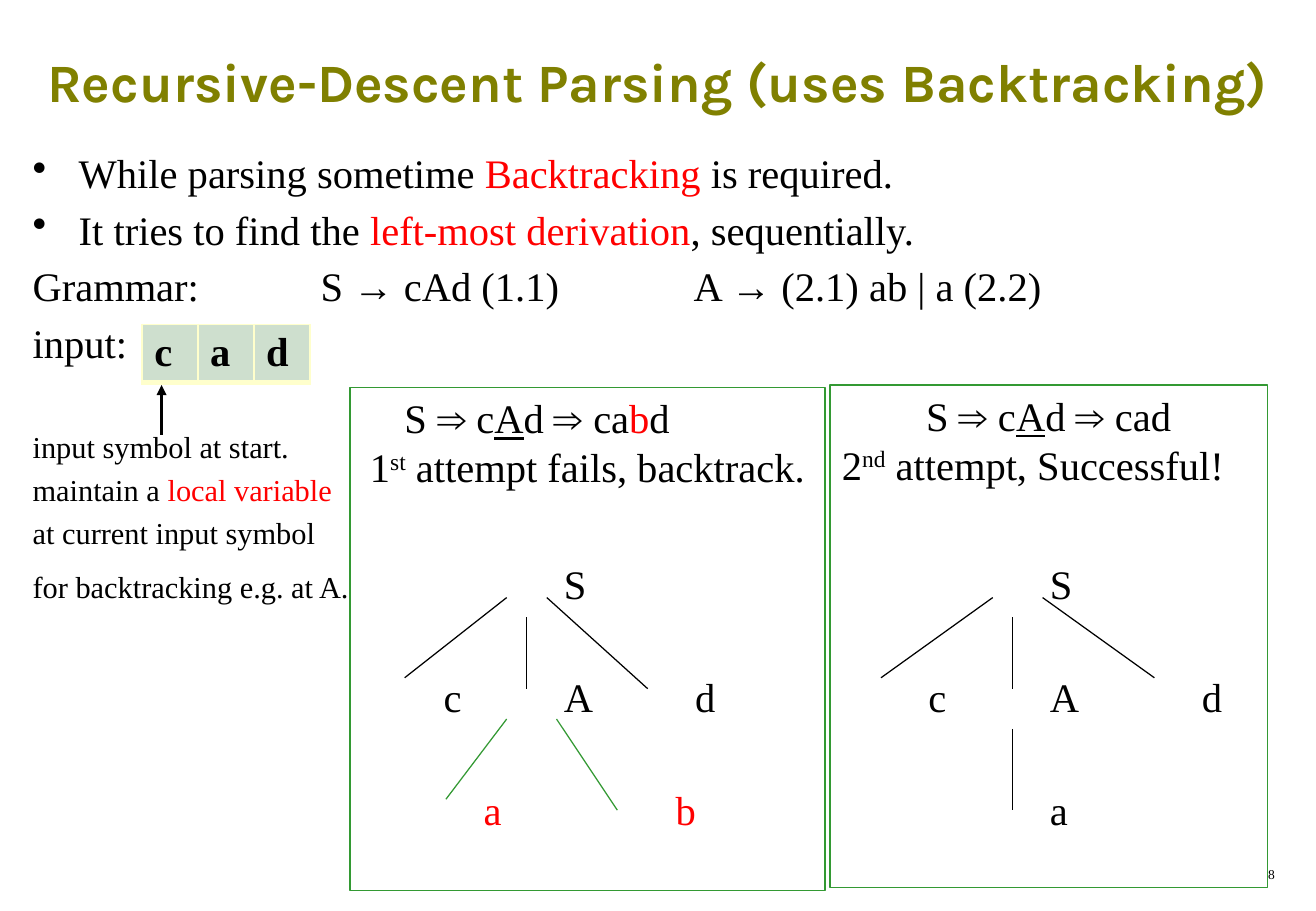
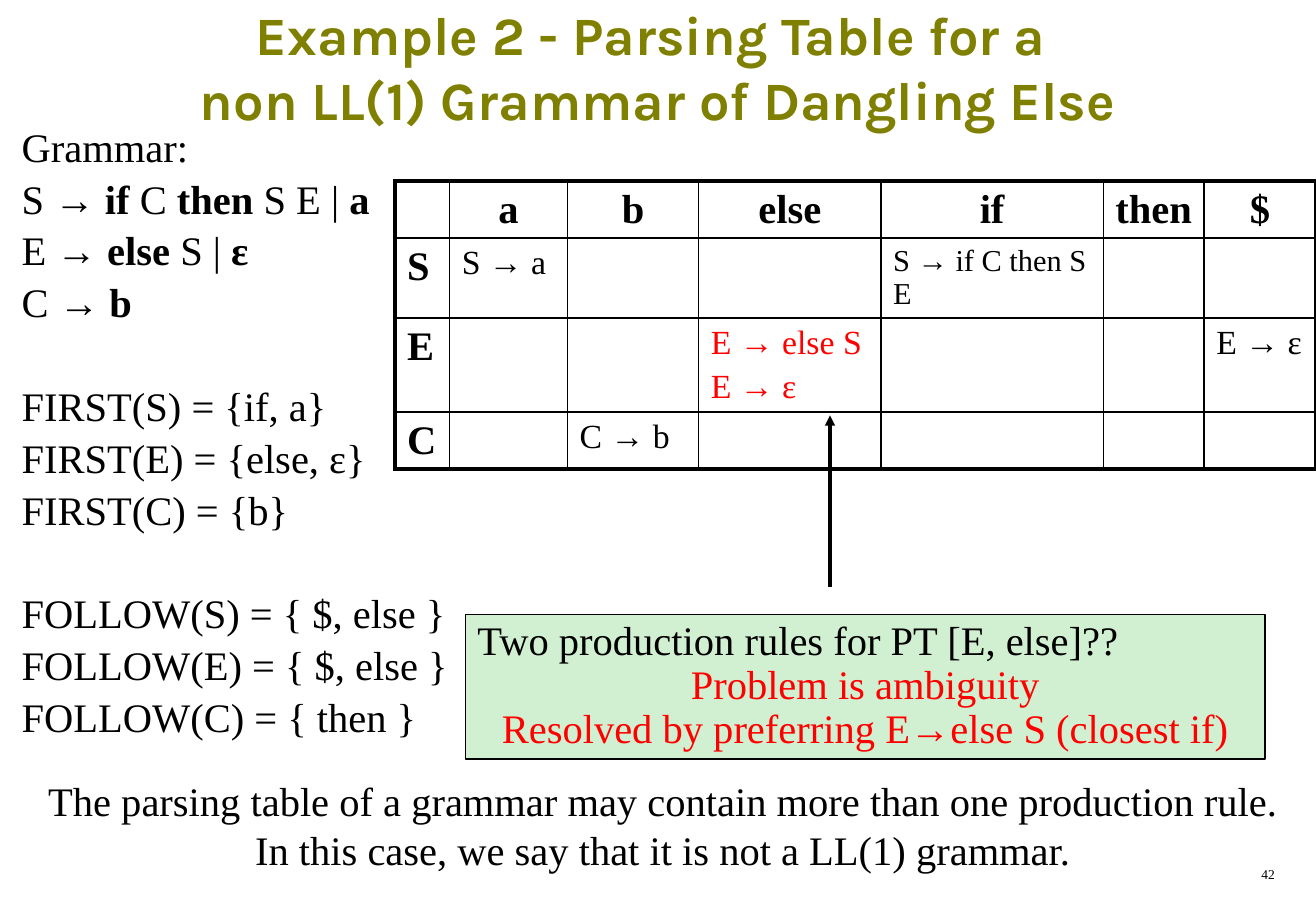
from dataclasses import dataclass
from typing import NamedTuple

from lxml.etree import SubElement
from pptx import Presentation
from pptx.dml.color import RGBColor
from pptx.enum.shapes import MSO_CONNECTOR, MSO_SHAPE
from pptx.enum.text import MSO_ANCHOR, MSO_AUTO_SIZE, PP_ALIGN
from pptx.oxml.ns import qn
from pptx.util import Inches, Pt

BLACK, RED, GREEN, OLIVE = "000000", "FF0000", "339933", "808000"
CREAM, SAGE, MINT = "FFFFCC", "CEDFCE", "D1F0D1"
BODY_FONT, TITLE_FONT = "Times New Roman", "Karla"
CENTER, RIGHT = PP_ALIGN.CENTER, PP_ALIGN.RIGHT


@dataclass
class Run:
    text: str
    color: str = BLACK
    size: float = 24
    bold: bool = False
    underline: bool = False
    raised: bool = False
    font: str = BODY_FONT


@dataclass
class Para:
    runs: list[Run]
    align: PP_ALIGN = PP_ALIGN.LEFT
    before: float = 0
    spacing: float = 1.0
    bullet: bool = False
    indent: float = 0
    tabs: tuple[float, ...] = ()


class Box(NamedTuple):
    left: float
    top: float
    width: float
    height: float


class Edge(NamedTuple):
    start: tuple[float, float]
    end: tuple[float, float]
    color: str = BLACK


class Node(NamedTuple):
    text: str
    left: float
    level: int
    color: str = BLACK


def rgb(value: str) -> RGBColor:
    return RGBColor.from_string(value)


def inches(box: Box) -> list[Inches]:
    return [Inches(value) for value in box]


def add_run(paragraph, run: Run) -> None:
    """Add the run, turning each newline in it into a line break."""
    for index, line in enumerate(run.text.split("\n")):
        if index:
            paragraph.add_line_break()
        piece = paragraph.add_run()
        piece.text = line
        style = {"name": run.font, "size": Pt(run.size), "bold": run.bold,
                 "underline": run.underline}
        for name, value in style.items():
            setattr(piece.font, name, value)
        piece.font.color.rgb = rgb(run.color)
        if run.raised:
            piece._r.get_or_add_rPr().set("baseline", "30000")


def fill_paragraph(paragraph, para: Para) -> None:
    props = paragraph._p.get_or_add_pPr()
    if para.bullet:
        props.set("marL", str(Inches(0.38)))
        props.set("indent", str(-Inches(0.38)))
        SubElement(props, qn("a:buChar"), char="•")
    elif para.indent:
        props.set("marL", str(Inches(para.indent)))
    if para.tabs:
        stops = SubElement(props, qn("a:tabLst"))
        for stop in para.tabs:
            SubElement(stops, qn("a:tab"), pos=str(Inches(stop)), algn="l")
    layout = {"alignment": para.align, "space_before": Pt(para.before),
              "line_spacing": para.spacing}
    for name, value in layout.items():
        setattr(paragraph, name, value)
    for run in para.runs:
        add_run(paragraph, run)


def write(frame, paras: list[Para]) -> None:
    for index, para in enumerate(paras):
        fill_paragraph(frame.add_paragraph() if index else frame.paragraphs[0], para)


def add_text(slide, box: Box, paras: list[Para], margin: bool = True) -> None:
    frame = slide.shapes.add_textbox(*inches(box)).text_frame
    frame.word_wrap = True
    if not margin:
        for side in ("left", "top", "right", "bottom"):
            setattr(frame, f"margin_{side}", 0)
    write(frame, paras)


def add_panel(slide, box: Box, paras: list[Para], line: str, fill: str = "") -> None:
    panel = slide.shapes.add_shape(MSO_SHAPE.RECTANGLE, *inches(box))
    panel.shadow.inherit = False
    panel.line.color.rgb = rgb(line)
    panel.line.width = Pt(0.75)
    if fill:
        panel.fill.solid()
        panel.fill.fore_color.rgb = rgb(fill)
    else:
        panel.fill.background()
    panel.text_frame.word_wrap = True
    panel.text_frame.vertical_anchor = MSO_ANCHOR.TOP
    write(panel.text_frame, paras)


def add_line(slide, edge: Edge, width: float = 0.75, arrow: bool = False) -> None:
    ends = [Inches(value) for value in (*edge.start, *edge.end)]
    line = slide.shapes.add_connector(MSO_CONNECTOR.STRAIGHT, *ends)
    line.line.color.rgb = rgb(edge.color)
    line.line.width = Pt(width)
    if arrow:
        SubElement(line.line._get_or_add_ln(), qn("a:tailEnd"), type="triangle")
    SubElement(line._element.spPr, qn("a:effectLst"))


def add_tree(slide, nodes: list[Node], edges: list[Edge]) -> None:
    for node in nodes:
        box = Box(node.left, 4.6 + 0.93 * node.level, 0.35, 0.4)
        add_text(slide, box, [Para([Run(node.text, node.color)])], margin=False)
    for edge in edges:
        add_line(slide, edge)


def add_grid(slide, left: float, top: float, widths: list[float], heights: list[float]):
    box = Box(left, top, sum(widths), sum(heights))
    grid = slide.shapes.add_table(len(heights), len(widths), *inches(box)).table
    grid.first_row = grid.horz_banding = False
    for column, width in zip(grid.columns, widths):
        column.width = Inches(width)
    for row, height in zip(grid.rows, heights):
        row.height = Inches(height)
    for cell in grid.iter_cells():
        cell.margin_bottom = 0
    return grid


def set_borders(cell, color: str, widths: dict[str, float]) -> None:
    """Draw the cell's borders; call before filling the cell."""
    props = cell._tc.get_or_add_tcPr()
    for side in "LRTB":
        line = SubElement(props, qn(f"a:ln{side}"), w=str(Pt(widths.get(side, 1))))
        SubElement(SubElement(line, qn("a:solidFill")), qn("a:srgbClr"), val=color)


def start_slide(deck, title: str, box: Box, number: int):
    slide = deck.slides.add_slide(deck.slide_layouts[5])
    heading = slide.shapes.title
    for name, value in zip(("left", "top", "width", "height"), inches(box)):
        setattr(heading, name, value)
    frame = heading.text_frame
    for name, value in {"vertical_anchor": MSO_ANCHOR.MIDDLE, "word_wrap": True,
                        "auto_size": MSO_AUTO_SIZE.NONE}.items():
        setattr(frame, name, value)
    write(frame, [Para([Run(title, OLIVE, 32, True, font=TITLE_FONT)], CENTER)])
    add_text(slide, Box(8.33, 7.08, 2.26, 0.25), [Para([Run(str(number), size=8)], RIGHT)])
    return slide


def derivation(*ending: Run) -> list[Run]:
    return [Run("S ⇒ c"), Run("A", underline=True), *ending]


def attempt(count: str, suffix: str, outcome: str) -> list[Run]:
    return [Run(count), Run(suffix, raised=True), Run(f" attempt{outcome}")]


def build_backtracking(deck) -> None:
    slide = start_slide(deck, "Recursive-Descent Parsing (uses Backtracking)",
                        Box(0, 0.17, 10.83, 1), 8)
    add_text(slide, Box(0.17, 1.17, 10.5, 1.95), [
        Para([Run("While parsing sometime "), Run("Backtracking", RED),
              Run(" is required.")], bullet=True),
        Para([Run("It tries to find the "), Run("left-most derivation", RED),
              Run(", sequentially.")], before=4.8, bullet=True),
        Para([Run("Grammar:\tS → cAd (1.1)\tA → (2.1) ab | a (2.2)")],
             before=4.8, tabs=(2.37, 5.44)),
        Para([Run("input:")], before=4.8)])
    add_text(slide, Box(0.17, 3.48, 2.85, 1.6), [
        Para([Run("input symbol at start.", size=18)]),
        Para([Run("maintain a ", size=18), Run("local variable", RED, 18)], before=3.6),
        Para([Run("at current input symbol", size=18)], before=3.6),
        Para([Run("for backtracking e.g. at A.", size=18)], before=10.8)])

    add_panel(slide, Box(2.88, 3.19, 3.91, 4.14), [
        Para(derivation(Run("d ⇒ ca"), Run("b", RED), Run("d")), indent=0.35),
        Para(attempt("1", "st", " fails, backtrack."), CENTER)], GREEN)
    add_panel(slide, Box(6.83, 3.17, 3.6, 4.14), [
        Para(derivation(Run("d ⇒ cad")), CENTER),
        Para(attempt("2", "nd", ", Successful!"))], GREEN)

    add_tree(slide, [
        Node("S", 4.64, 0), Node("c", 3.65, 1), Node("A", 4.64, 1),
        Node("d", 5.72, 1), Node("a", 3.98, 2, RED), Node("b", 5.56, 2, RED)], [
        Edge((4.17, 4.92), (3.33, 5.58)), Edge((4.5, 4.92), (5.33, 5.67)),
        Edge((4.33, 5.08), (4.33, 5.67)),
        Edge((4.17, 5.92), (3.67, 6.58), GREEN), Edge((4.58, 5.92), (5.08, 6.67), GREEN)])
    add_tree(slide, [
        Node("S", 8.64, 0), Node("c", 7.64, 1), Node("A", 8.64, 1),
        Node("d", 9.89, 1), Node("a", 8.64, 2)], [
        Edge((8.17, 4.92), (7.25, 5.58)), Edge((8.58, 4.92), (9.5, 5.58)),
        Edge((8.33, 5.08), (8.33, 5.67)), Edge((8.33, 6), (8.33, 6.67))])

    tape = add_grid(slide, 1.17, 2.67, [0.46] * 3, [0.48])
    for cell, symbol in zip(tape.iter_cells(), "cad"):
        set_borders(cell, CREAM, {"B": 3})
        cell.fill.solid()
        cell.fill.fore_color.rgb = rgb(SAGE)
        write(cell.text_frame, [Para([Run(symbol, bold=True)])])
    add_line(slide, Edge((1.33, 3.58), (1.33, 3.17)), 1.5, arrow=True)


def build_parsing_table(deck) -> None:
    slide = start_slide(
        deck, "Example 2 - Parsing Table for a \nnon LL(1) Grammar of Dangling Else",
        Box(0, 0, 10.83, 1.1), 42)
    groups = [
        [[Run("Grammar:")],
         [Run("S → "), Run("if", bold=True), Run(" C "), Run("then ", bold=True),
          Run("S E | "), Run("a", bold=True)],
         [Run("E → "), Run("else ", bold=True), Run("S | "), Run("ε", bold=True)],
         [Run("C → "), Run("b", bold=True)]],
        [[Run(f"FIRST({head}) = {{{members}}}")]
         for head, members in (("S", "if, a"), ("E", "else, ε"), ("C", "b"))],
        [[Run(f"FOLLOW({head}) = {{ {members} }}")]
         for head, members in (("S", "$, else"), ("E", "$, else"), ("C", "then"))]]
    rules = [Para(runs, before=4.8 if index else 35.6, spacing=0.9)
             for group in groups for index, runs in enumerate(group)]
    rules[0].before = 0
    add_text(slide, Box(0.08, 1, 4.25, 5.3), rules)

    terminals = ["a", "b", "else", "if", "then", "$"]
    productions = {
        ("S", "a"): [Run("S → a", size=20)],
        ("S", "if"): [Run("S → if C then S E", size=18)],
        ("E", "else"): [Run("E → else S", RED, 20), Run("E → ε", RED, 20)],
        ("E", "$"): [Run("E → ε", size=20)],
        ("C", "b"): [Run("C → b", size=20)]}
    grid = add_grid(slide, 3.25, 1.49, [0.45, 0.97, 1.08, 1.5, 1.83, 0.83, 0.92],
                    [0.47, 0.66, 0.77, 0.47])
    for row, head in enumerate(["", "S", "E", "C"]):
        for column, terminal in enumerate(["", *terminals]):
            cell = grid.cell(row, column)
            outer = {"L": column == 0, "R": column == len(terminals),
                     "T": row == 0, "B": row == 3}
            set_borders(cell, BLACK, {side: 2.25 for side, hit in outer.items() if hit})
            cell.fill.background()
            if row and column:
                entries = productions.get((head, terminal), [])
                write(cell.text_frame, [Para([entry], before=4 if index else 0)
                                        for index, entry in enumerate(entries)])
            elif row or column:
                write(cell.text_frame, [Para([Run(head or terminal, bold=True)],
                                             PP_ALIGN.LEFT if row else CENTER)])
    add_line(slide, Edge((6.83, 4.83), (6.83, 3.42)), 2, arrow=True)

    add_panel(slide, Box(3.83, 5.06, 6.58, 1.19), [
        Para([Run("Two production rules for PT [E, else]??")], spacing=0.9),
        Para([Run("Problem is ambiguity", RED)], CENTER, spacing=0.9),
        Para([Run("Resolved by preferring E→else S (closest if)", RED)],
             CENTER, spacing=0.9)], BLACK, MINT)
    add_text(slide, Box(0.16, 6.34, 10.59, 0.91), [Para([Run(
        "The parsing table of a grammar may contain more than one production rule. "
        "In this case, we say that it is not a LL(1) grammar.")], CENTER)])


def main() -> None:
    deck = Presentation()
    deck.slide_width, deck.slide_height = Inches(10.83), Inches(7.5)
    build_backtracking(deck)
    build_parsing_table(deck)
    deck.save("out.pptx")


if __name__ == "__main__":
    main()
